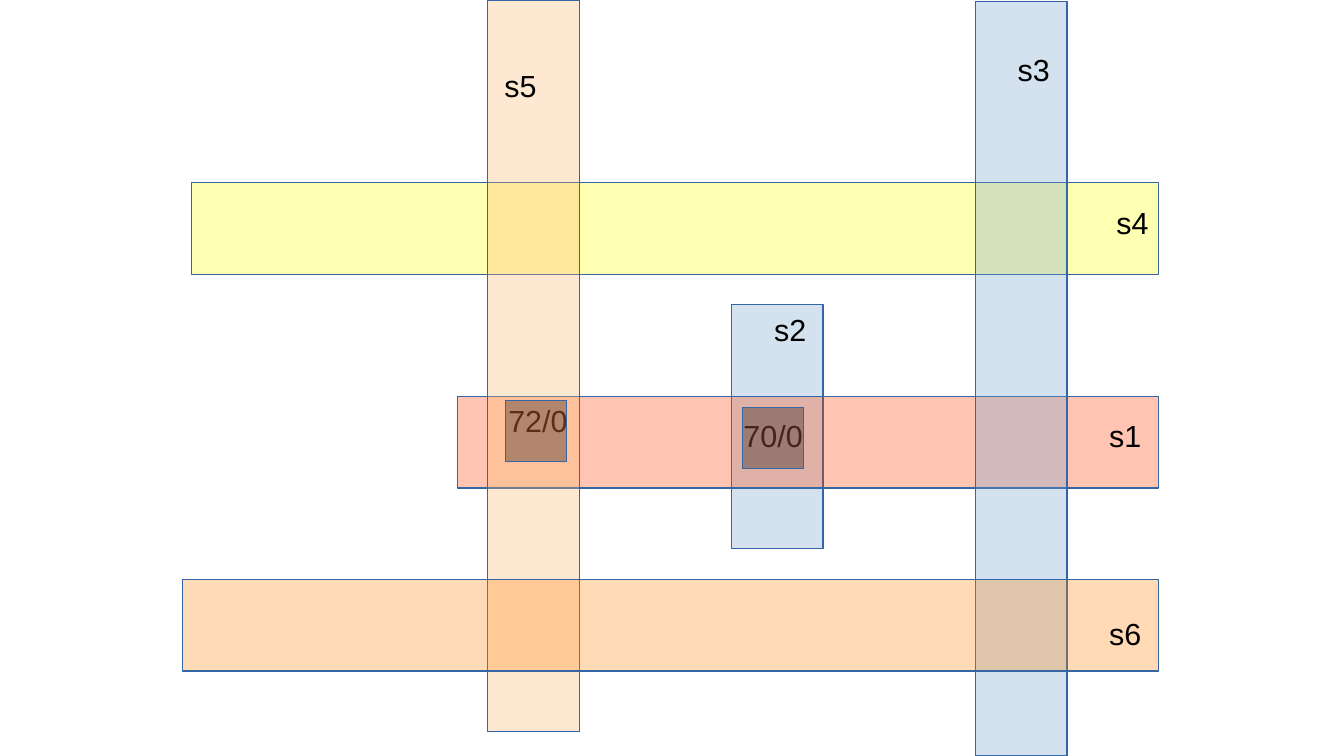
from lxml.etree import SubElement
from pptx import Presentation
from pptx.dml.color import RGBColor
from pptx.enum.shapes import MSO_SHAPE
from pptx.enum.text import MSO_AUTO_SIZE
from pptx.oxml.ns import qn
from pptx.util import Cm, Pt

BLUE = RGBColor(0x72, 0x9F, 0xCF)
RED = RGBColor(0xFF, 0x40, 0x00)
YELLOW = RGBColor(0xFF, 0xFF, 0x00)
PEACH = RGBColor(0xFF, 0xB6, 0x6C)
ORANGE = RGBColor(0xFF, 0x86, 0x0D)
BLACK = RGBColor(0x00, 0x00, 0x00)
OUTLINE = RGBColor(0x34, 0x65, 0xA4)

# Content, in centimetres
SLIDE_SIZE = 28, 15.75
STRIP = 1.91         # thickness of every strip
CELL = 1.27          # side of a dark crossing cell
LABEL_HEIGHT = 0.96
STRIP_LABEL, CELL_LABEL = 1.18, 1.8  # label widths
OPACITY = 30         # percent

# Crossing cells: label, label position, cell position
cells = [
    ("70/0", (15.24, 8.56), (15.47, 8.49)),
    ("72/0", (10.34, 8.26), (10.54, 8.35)),
]

# Strips, back to front: label, direction, left, top, length, colour, label position
strips = [
    ("s2", "down", 15.24, 6.35, 5.08, BLUE, (15.88, 6.35)),
    ("s1", "across", 9.53, 8.26, 14.6, RED, (22.86, 8.56)),
    ("s4", "across", 3.99, 3.81, 20.14, YELLOW, (23.01, 4.12)),
    ("s3", "down", 20.32, 0.03, 15.72, BLUE, (20.95, 0.94)),
    ("s5", "down", 10.16, 0, 15.24, PEACH, (10.26, 1.27)),
    ("s6", "across", 3.81, 12.07, 20.32, ORANGE, (22.86, 12.69)),
]

deck = Presentation()
deck.slide_width, deck.slide_height = map(Cm, SLIDE_SIZE)
slide = deck.slides.add_slide(deck.slide_layouts[6])


def add_glass(left, top, width, height, colour):
    """Add a see-through rectangle with a hairline outline."""
    glass = slide.shapes.add_shape(
        MSO_SHAPE.RECTANGLE, Cm(left), Cm(top), Cm(width), Cm(height))
    glass.shadow.inherit = False
    glass.fill.solid()
    glass.fill.fore_color.rgb = colour
    tint = glass.fill._xPr.find(qn("a:solidFill"))[0]
    SubElement(tint, qn("a:alpha")).set("val", str(OPACITY * 1000))
    glass.line.color.rgb = OUTLINE
    glass.line.width = Pt(0)


def add_label(words, left, top, width):
    frame = slide.shapes.add_textbox(
        Cm(left), Cm(top), Cm(width), Cm(LABEL_HEIGHT)).text_frame
    frame.word_wrap = False
    frame.auto_size = MSO_AUTO_SIZE.SHAPE_TO_FIT_TEXT
    run = frame.paragraphs[0].add_run()
    run.text = words
    run.font.name = "Arial"
    run.font.size = Pt(18)
    run.font.color.rgb = BLACK


# Cell labels lie behind the strips
for words, label_at, _ in cells:
    add_label(words, *label_at, CELL_LABEL)

# Strips with their labels
for words, direction, left, top, length, colour, label_at in strips:
    size = (STRIP, length) if direction == "down" else (length, STRIP)
    add_glass(left, top, *size, colour)
    add_label(words, *label_at, STRIP_LABEL)

# Dark cells on top
for _, _, cell_at in reversed(cells):
    add_glass(*cell_at, CELL, CELL, BLACK)

deck.save("out.pptx")
